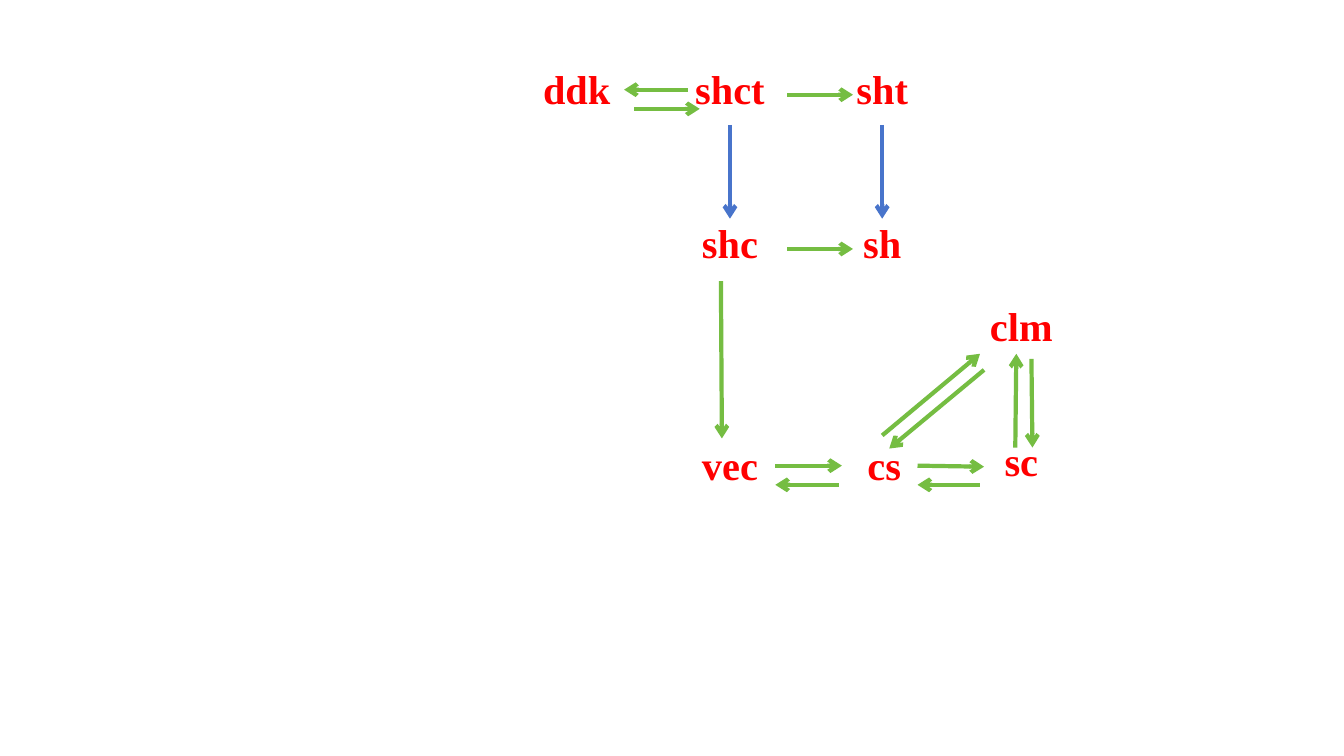
from lxml import etree
from pptx import Presentation
from pptx.dml.color import RGBColor
from pptx.enum.shapes import MSO_CONNECTOR
from pptx.enum.text import MSO_ANCHOR, PP_ALIGN
from pptx.oxml.ns import qn
from pptx.util import Inches, Pt

COLORS = {"label": "FF0000", "down": "4874CB", "link": "75BD42"}
NODE_WIDTH, NODE_HEIGHT = 1.14, 0.6
BOTTOM, RIGHT, TOP = 2, 3, 0

NODES = {
    "ddk": (5.15, 0.64),
    "shct": (6.67, 0.64),
    "sht": (8.18, 0.64),
    "shc": (6.67, 2.17),
    "sh": (8.18, 2.17),
    "clm": (9.56, 2.99),
    "vec": (6.67, 4.37),
    "cs": (8.2, 4.37),
    "sc": (9.56, 4.33),
}

LINKS = [
    ((7.15, 2.79), (7.16, 4.35)),
    ((6.82, 0.89), (6.19, 0.89)),
    ((6.29, 1.08), (6.94, 1.08)),
    ((7.69, 4.62), (8.35, 4.62)),
    ((8.32, 4.81), (7.69, 4.81)),
    ((9.1, 4.62), (9.76, 4.63)),
    ((9.72, 4.81), (9.1, 4.81)),
    ((10.23, 3.56), (10.24, 4.44)),
    ((10.07, 4.44), (10.08, 3.51)),
    ((8.75, 4.32), (9.72, 3.51)),
    ((9.76, 3.67), (8.82, 4.45)),
]


def add_node(slide, label, left, top):
    """Add one centred label and return its box."""
    node = slide.shapes.add_textbox(
        Inches(left), Inches(top), Inches(NODE_WIDTH), Inches(NODE_HEIGHT)
    )
    frame = node.text_frame
    frame.word_wrap = True
    frame.vertical_anchor = MSO_ANCHOR.TOP
    paragraph = frame.paragraphs[0]
    paragraph.alignment = PP_ALIGN.CENTER
    paragraph.line_spacing = 0.9
    paragraph.space_before = Pt(10)
    run = paragraph.add_run()
    run.text = label
    run.font.name = "Times New Roman"
    run.font.size = Pt(28.8)
    run.font.bold = True
    run.font.color.rgb = RGBColor.from_string(COLORS["label"])
    return node


def add_arrow(slide, start, end, color):
    """Add a straight line with an open arrowhead at its end."""
    arrow = slide.shapes.add_connector(
        MSO_CONNECTOR.STRAIGHT, *(Inches(value) for value in (*start, *end))
    )
    arrow.line.width = Pt(3)
    arrow.line.color.rgb = RGBColor.from_string(COLORS[color])
    properties = arrow._element.spPr
    etree.SubElement(properties.find(qn("a:ln")), qn("a:tailEnd"), type="arrow")
    etree.SubElement(properties, qn("a:effectLst"))
    return arrow


def main():
    """Build the diagram slide and save it."""
    presentation = Presentation()
    presentation.slide_width = Inches(13.33)
    presentation.slide_height = Inches(7.5)
    slide = presentation.slides.add_slide(presentation.slide_layouts[6])
    nodes = {
        label: add_node(slide, label, left, top)
        for label, (left, top) in NODES.items()
    }
    for source, target in (("shct", "shc"), ("sht", "sh")):
        center = NODES[source][0] + NODE_WIDTH / 2
        start = (center, NODES[source][1] + NODE_HEIGHT)
        down = add_arrow(slide, start, (center, NODES[target][1]), "down")
        down.begin_connect(nodes[source], BOTTOM)
        down.end_connect(nodes[target], TOP)
    for source in ("shct", "shc"):
        left, top = NODES[source]
        start = (left + NODE_WIDTH, top + NODE_HEIGHT / 2)
        across = add_arrow(slide, start, (start[0] + 0.65, start[1]), "link")
        across.begin_connect(nodes[source], RIGHT)
    for start, end in LINKS:
        add_arrow(slide, start, end, "link")
    presentation.save("out.pptx")


if __name__ == "__main__":
    main()
